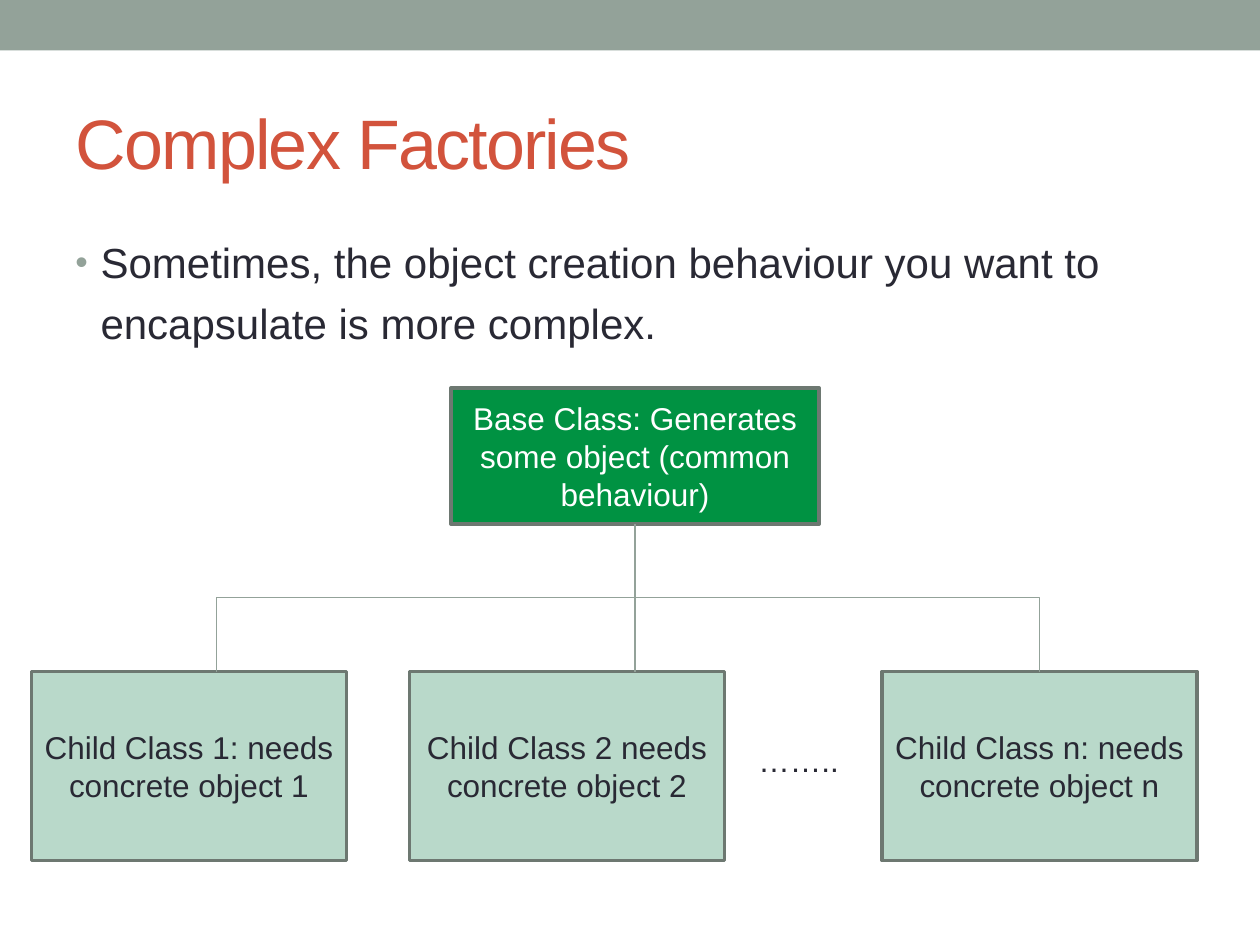
import pptx
import pptx.util
import pptx.dml.color
import pptx.enum.shapes
import pptx.enum.text
import pptx.oxml.ns
import lxml.etree

Inches = pptx.util.Inches
Pt = pptx.util.Pt
qn = pptx.oxml.ns.qn
ALIGN = pptx.enum.text.PP_ALIGN
ANCHOR = pptx.enum.text.MSO_ANCHOR
LINK = pptx.enum.shapes.MSO_CONNECTOR
RECT = pptx.enum.shapes.MSO_SHAPE.RECTANGLE

SAGE, GREEN, MINT = "93A299", "009242", "B9D9CA"
EDGE, INK, RED, WHITE = "6D7871", "292934", "D2533C", "FFFFFF"


def tint(code):
    """Return the colour for a hex string."""
    return pptx.dml.color.RGBColor.from_string(code)


def write(shape, text, size=18, color=INK, align=ALIGN.LEFT, anchor=ANCHOR.TOP, wrap=True):
    """Put formatted text into a shape and return its paragraph."""
    frame = shape.text_frame
    frame.word_wrap = wrap
    frame.vertical_anchor = anchor
    para = frame.paragraphs[0]
    para.alignment = align
    run = para.add_run()
    run.text = text
    run.font.name = "Arial"
    run.font.size = Pt(size)
    run.font.color.rgb = tint(color)
    return para


def block(slide, box, fill, edge=None):
    """Add a plain filled rectangle."""
    shape = slide.shapes.add_shape(RECT, *map(Inches, box))
    shape.shadow.inherit = False
    shape.fill.solid()
    shape.fill.fore_color.rgb = tint(fill)
    if edge:
        shape.line.color.rgb = tint(edge)
        shape.line.width = Pt(2.08)
    else:
        shape.line.fill.background()
    return shape


def node(slide, box, text, fill, color):
    """Add a class box with centred text."""
    shape = block(slide, box, fill, EDGE)
    write(shape, text, color=color, align=ALIGN.CENTER, anchor=ANCHOR.MIDDLE)


def link(slide, start, end, bent=False):
    """Join two points with a straight or one-corner line."""
    kind = LINK.ELBOW if bent else LINK.STRAIGHT
    line = slide.shapes.add_connector(kind, *map(Inches, start + end))
    line.line.color.rgb = tint(SAGE)
    line.line.width = Pt(0.75)
    props = line._element.spPr
    if bent:
        props.find(qn("a:prstGeom")).set("prst", "bentConnector2")
    lxml.etree.SubElement(props, qn("a:effectLst"))


def head(slide, box):
    """Place and format the slide title."""
    title = slide.shapes.title
    title.left, title.top, title.width, title.height = map(Inches, box)
    para = write(title, "Complex Factories", size=40, color=RED, anchor=ANCHOR.MIDDLE)
    para.runs[0].font._element.set("spc", "-100")


def body(slide, box):
    """Add the bulleted statement."""
    shape = slide.shapes.add_textbox(*map(Inches, box))
    text = "Sometimes, the object creation behaviour you want to encapsulate is more complex."
    para = write(shape, text, size=24)
    para.line_spacing = 1.2
    para.space_before = para.space_after = Pt(6)
    props = para._element.get_or_add_pPr()
    props.set("marL", str(Inches(0.2)))
    props.set("indent", str(-Inches(0.2)))
    hue = lxml.etree.SubElement(props, qn("a:buClr"))
    lxml.etree.SubElement(hue, qn("a:srgbClr"), val=SAGE)
    lxml.etree.SubElement(props, qn("a:buSzPct"), val="85000")
    lxml.etree.SubElement(props, qn("a:buFont"), typeface="Arial")
    lxml.etree.SubElement(props, qn("a:buChar"), char="•")


def tree(slide, box):
    """Draw the base class, its child classes and the lines between."""
    left, top, width, height = box
    base_w, base_h, kid_w, kid_h = 2.92, 1.08, 2.5, 1.5
    mid = left + 4.79
    foot = top + base_h
    row = top + height - kid_h
    fork = (foot + row) / 2
    node(slide, (mid - base_w / 2, top, base_w, base_h),
         "Base Class: Generates some object (common behaviour)", GREEN, WHITE)
    kids = [
        (0, "Child Class 1: needs concrete object 1"),
        (3, "Child Class 2 needs concrete object 2"),
        (width - kid_w, "Child Class n: needs concrete object n"),
    ]
    for shift, text in kids:
        node(slide, (left + shift, row, kid_w, kid_h), text, MINT, INK)
    for drop in (left + 1.47, left + width - kid_w / 2):
        link(slide, (mid, fork), (drop, row), bent=True)
    link(slide, (mid, foot), (mid, row))
    dots = slide.shapes.add_textbox(*map(Inches, (left + 5.67, row + 0.5, 0.92, 0.4)))
    write(dots, "……..", wrap=False)


def main():
    """Build and save the slide."""
    deck = pptx.Presentation()
    deck.slide_width, deck.slide_height = Inches(10), Inches(7.5)
    slide = deck.slides.add_slide(deck.slide_layouts[5])
    block(slide, (0, 0, 10, 0.4), SAGE)
    head(slide, (0.5, 0.58, 9, 1.08))
    body(slide, (0.5, 1.75, 9, 1.2))
    tree(slide, (0.25, 3.08, 9.25, 3.75))
    deck.save("out.pptx")


if __name__ == "__main__":
    main()
